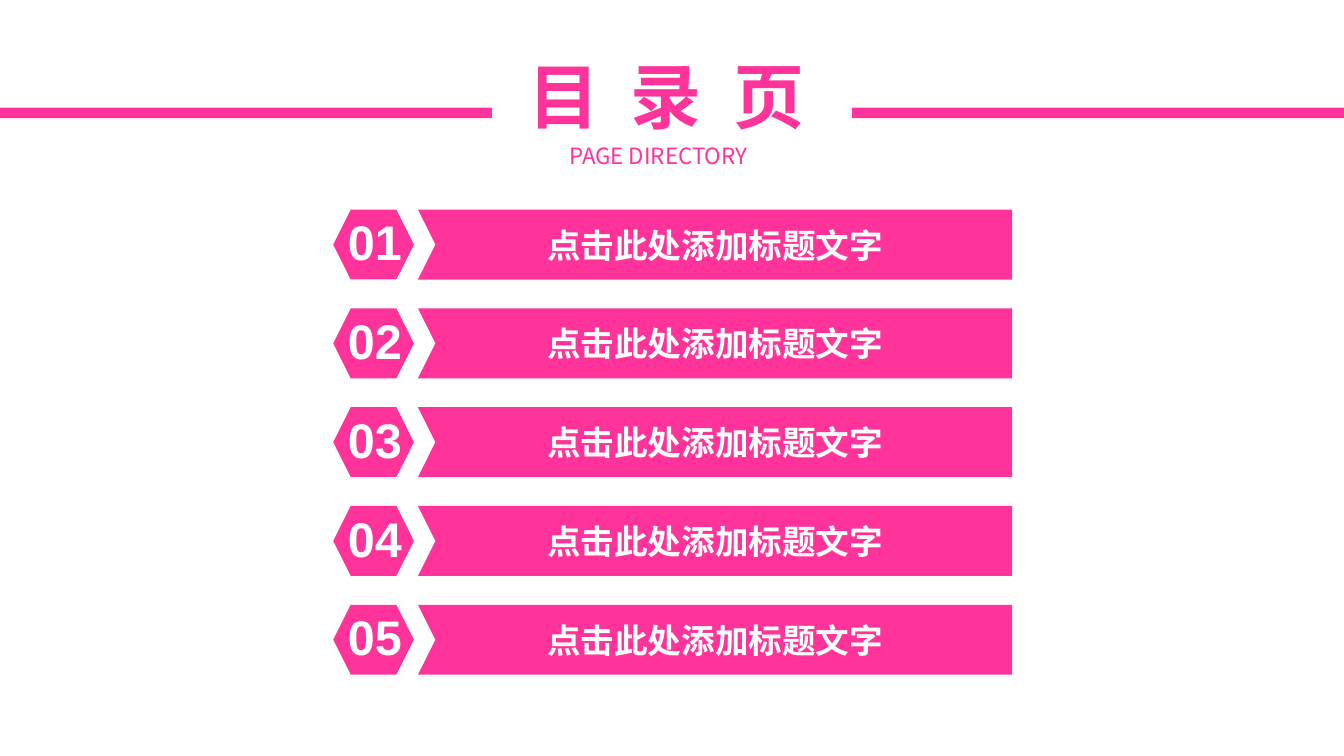
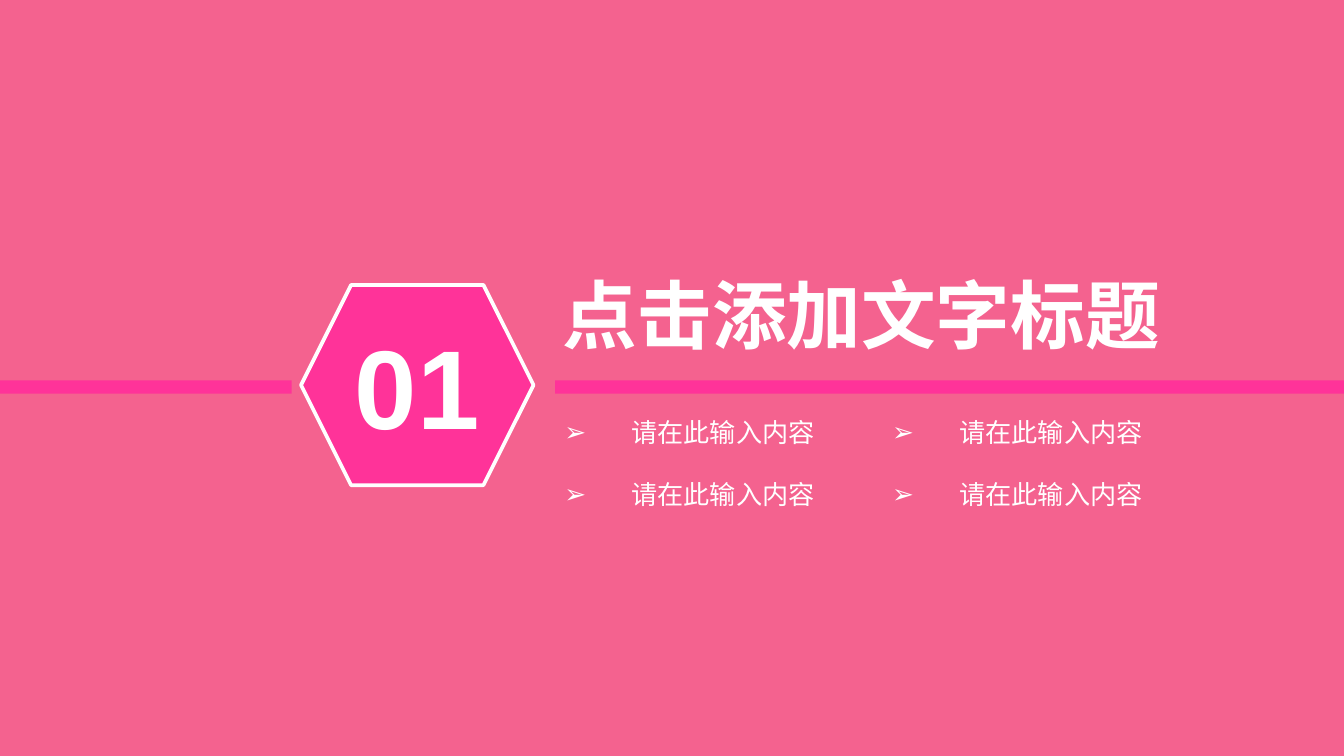
from dataclasses import dataclass

import lxml.etree
import pptx
import pptx.dml.color
import pptx.enum.shapes
import pptx.enum.text
import pptx.oxml.ns
import pptx.presentation
import pptx.shapes.autoshape
import pptx.slide
import pptx.text.text
import pptx.util

Inches = pptx.util.Inches
RGBColor = pptx.dml.color.RGBColor
Align = pptx.enum.text.PP_ALIGN
Shape = pptx.enum.shapes.MSO_SHAPE
qn = pptx.oxml.ns.qn

PINK = RGBColor(0xFF, 0x33, 0x99)
ROSE = RGBColor(0xF4, 0x62, 0x8F)
WHITE = RGBColor(0xFF, 0xFF, 0xFF)
HAN = "Noto Sans CJK SC"
LATIN = "Arial"


@dataclass(frozen=True)
class Box:
    left: float
    top: float
    width: float
    height: float

    def sizes(self) -> list[pptx.util.Length]:
        return [Inches(v) for v in (self.left, self.top, self.width, self.height)]


@dataclass(frozen=True)
class Style:
    size: int
    font: str = HAN
    color: RGBColor = WHITE
    bold: bool = True
    align: Align = Align.LEFT
    spread: float = 0  # extra points after each letter


ROW = Style(18, align=Align.CENTER)
DIGIT = Style(26, LATIN)
TITLE = Style(38, color=PINK, align=Align.CENTER, spread=4.25)
SUB = Style(12, color=PINK, bold=False, align=Align.CENTER)
BADGE = Style(60, LATIN, align=Align.CENTER)
HEAD = Style(40)
POINT = Style(14, bold=False)


def write(frame: pptx.text.text.TextFrame, text: str, style: Style) -> None:
    frame.text = text
    para = frame.paragraphs[0]
    para.alignment = style.align
    for run in para.runs:
        font = run.font
        font.size = pptx.util.Pt(style.size)
        font.bold = style.bold
        font.color.rgb = style.color
        font.name = style.font
        props = run._r.get_or_add_rPr()
        lxml.etree.SubElement(props, qn("a:ea")).set("typeface", style.font)
        if style.spread:
            props.set("spc", str(round(style.spread * 100)))


def paint(shape: pptx.shapes.autoshape.Shape) -> None:
    shape.shadow.inherit = False
    shape.fill.solid()
    shape.fill.fore_color.rgb = PINK
    shape.line.fill.background()


def add_form(slide: pptx.slide.Slide, kind: Shape, box: Box) -> pptx.shapes.autoshape.Shape:
    shape = slide.shapes.add_shape(kind, *box.sizes())
    paint(shape)
    return shape


def add_text(slide: pptx.slide.Slide, box: Box, text: str,
             style: Style) -> pptx.text.text.TextFrame:
    frame = slide.shapes.add_textbox(*box.sizes()).text_frame
    frame.word_wrap = False
    frame.auto_size = pptx.enum.text.MSO_AUTO_SIZE.SHAPE_TO_FIT_TEXT
    write(frame, text, style)
    return frame


def add_banner(slide: pptx.slide.Slide, box: Box, notch: float, text: str) -> None:
    """Draw a bar whose left side is cut in to a point."""
    right, low = box.left + box.width, box.top + box.height
    corners = [(right, box.top), (right, low), (box.left, low),
               (box.left + notch, box.top + box.height / 2)]
    form = slide.shapes.build_freeform(Inches(box.left), Inches(box.top))
    form.add_line_segments([(Inches(x), Inches(y)) for x, y in corners], close=True)
    shape = form.convert_to_shape()
    paint(shape)
    shape.text_frame.vertical_anchor = pptx.enum.text.MSO_ANCHOR.MIDDLE
    write(shape.text_frame, text, ROW)


def add_point(slide: pptx.slide.Slide, box: Box, text: str) -> None:
    """Add a line of text with an arrow bullet and a hanging indent."""
    frame = add_text(slide, box, text, POINT)
    props = frame.paragraphs[0]._p.get_or_add_pPr()
    props.set("marL", str(Inches(0.5)))
    props.set("indent", str(-Inches(0.5)))
    lxml.etree.SubElement(props, qn("a:buFont")).set("typeface", LATIN)
    lxml.etree.SubElement(props, qn("a:buChar")).set("char", "➢")


def new_slide(deck: pptx.presentation.Presentation, color: RGBColor) -> pptx.slide.Slide:
    slide = deck.slides.add_slide(deck.slide_layouts[6])
    slide.background.fill.solid()
    slide.background.fill.fore_color.rgb = color
    return slide


def build_index(deck: pptx.presentation.Presentation) -> None:
    slide = new_slide(deck, WHITE)
    count, first, last = 5, 1.56, 4.5
    step = (last - first) / (count - 1)
    for i in range(count):
        top = first + i * step
        add_banner(slide, Box(3.11, top, 4.42, 0.52), 0.13, "点击此处添加标题文字")
        add_form(slide, Shape.HEXAGON, Box(2.48, top, 0.6, 0.52))
        add_text(slide, Box(2.49, top - 0.03, 0.61, 0.54), f"{i + 1:02}", DIGIT)

    for left in (0, 6.34):
        add_form(slide, Shape.RECTANGLE, Box(left, 0.8, 3.66, 0.08))
    add_text(slide, Box(3.74, 0.34, 2.44, 0.74), "目 录 页", TITLE)
    add_text(slide, Box(4.1, 1.01, 1.6, 0.3), "PAGE DIRECTORY", SUB)


def build_part(deck: pptx.presentation.Presentation) -> None:
    slide = new_slide(deck, ROSE)
    for left, width in ((0, 2.17), (4.13, 5.87)):
        add_form(slide, Shape.RECTANGLE, Box(left, 2.83, width, 0.1))
    badge = add_form(slide, Shape.HEXAGON, Box(2.24, 2.12, 1.73, 1.49))
    badge.line.color.rgb = WHITE
    badge.line.width = pptx.util.Pt(2)
    badge.text_frame.vertical_anchor = pptx.enum.text.MSO_ANCHOR.MIDDLE
    write(badge.text_frame, "01", BADGE)
    add_text(slide, Box(4.09, 1.95, 4.69, 0.77), "点击添加文字标题", HEAD)
    for top in (3.05, 3.51):
        for left in (4.1, 6.54):
            add_point(slide, Box(left, top, 2.08, 0.34), "请在此输入内容")


def main() -> None:
    deck = pptx.Presentation()
    deck.slide_width = Inches(10)
    deck.slide_height = Inches(10 * 9 / 16)
    build_index(deck)
    build_part(deck)
    deck.save("out.pptx")


if __name__ == "__main__":
    main()
